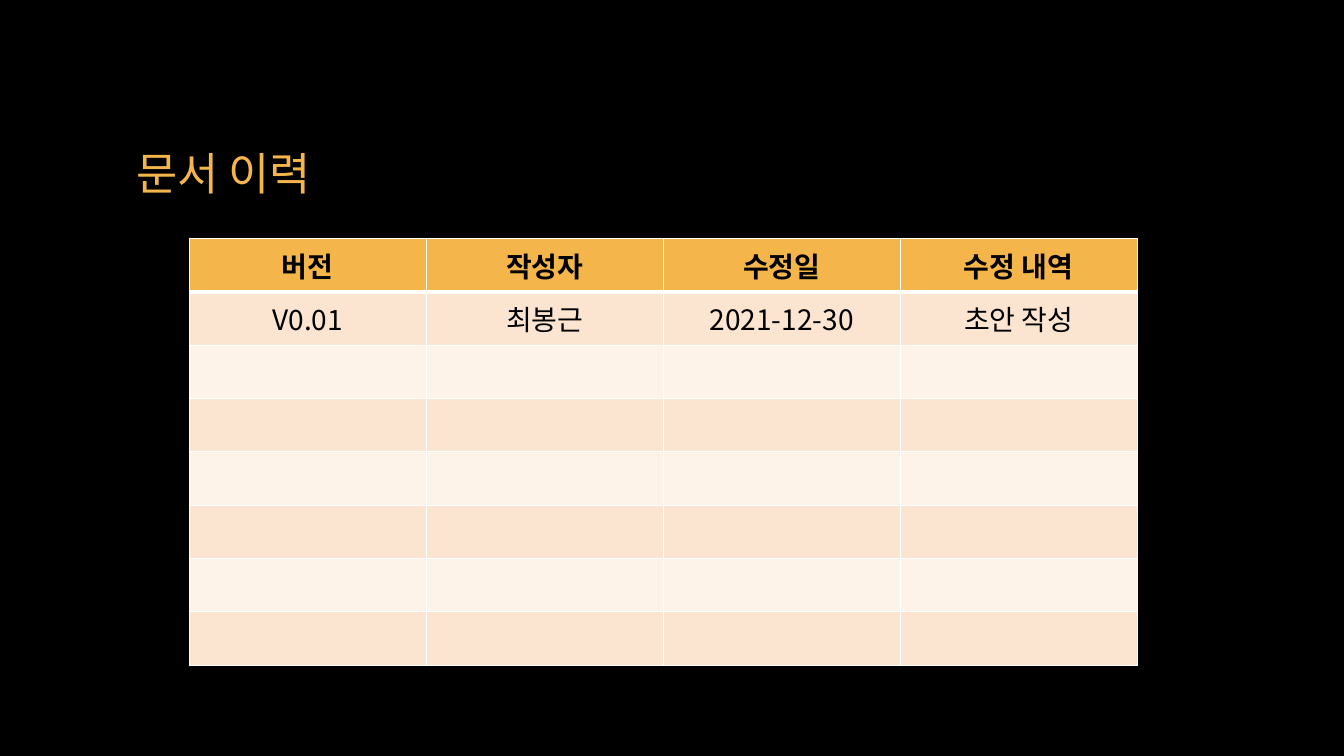
from lxml.etree import SubElement
from pptx import Presentation
from pptx.dml.color import RGBColor
from pptx.enum.text import MSO_ANCHOR as Anchor, PP_ALIGN as Align
from pptx.oxml.ns import qn
from pptx.util import Pt

FONT = "Noto Sans CJK KR"
BLACK, WHITE, AMBER = "000000", "FFFFFF", "F4B54B"
BANDS = ("FBE5D0", "FDF3E9")
HISTORY = [
    ("버전", "작성자", "수정일", "수정 내역"),
    ("V0.01", "최봉근", "2021-12-30", "초안 작성"),
]
ROWS, COLUMNS = 8, 4
COLUMN_WIDTH, ROW_HEIGHT = 169.3, 38.1


def paint(fill, color):
    fill.solid()
    fill.fore_color.rgb = RGBColor.from_string(color)


def write(frame, text, size=20, color=BLACK, bold=False, align=Align.CENTER):
    para = frame.paragraphs[0]
    para.alignment = align
    span = para.add_run()
    span.text = text
    span.font.size = Pt(size)
    span.font.bold = bold
    span.font.name = FONT
    span.font.color.rgb = RGBColor.from_string(color)
    # Korean glyphs take the East Asian typeface
    SubElement(span.font._element, qn("a:ea"), typeface=FONT)


def add_borders(cell, color, **widths):
    properties = cell._tc.get_or_add_tcPr()
    for side in "LRTB":
        line = SubElement(properties, qn(f"a:ln{side}"), w=str(Pt(widths.get(side, 1))))
        fill = SubElement(line, qn("a:solidFill"))
        SubElement(fill, qn("a:srgbClr"), val=color)


def add_title(page, text):
    title = page.shapes.title
    title.left, title.top, title.width, title.height = Pt(90), Pt(48), Pt(780), Pt(150)
    title.text_frame.vertical_anchor = Anchor.MIDDLE
    write(title.text_frame, text, size=32, color=AMBER, align=Align.LEFT)


def add_history_table(page):
    table = page.shapes.add_table(
        ROWS, COLUMNS, Pt(135.2), Pt(170.4),
        Pt(COLUMN_WIDTH * COLUMNS), Pt(ROW_HEIGHT * ROWS),
    ).table
    for column in table.columns:
        column.width = Pt(COLUMN_WIDTH)
    for r, row in enumerate(table.rows):
        row.height = Pt(ROW_HEIGHT)
        for c, cell in enumerate(row.cells):
            add_borders(cell, WHITE, T=3 if r == 1 else 1, B=3 if r == 0 else 1)
            paint(cell.fill, BANDS[(r - 1) % 2] if r else AMBER)
            cell.vertical_anchor = Anchor.MIDDLE
            if r < len(HISTORY):
                write(cell.text_frame, HISTORY[r][c], bold=r == 0)


def main():
    deck = Presentation()
    deck.slide_width, deck.slide_height = Pt(960), Pt(540)
    page = deck.slides.add_slide(deck.slide_layouts[5])
    paint(page.background.fill, BLACK)
    add_title(page, "문서 이력")
    add_history_table(page)
    deck.save("out.pptx")


if __name__ == "__main__":
    main()
